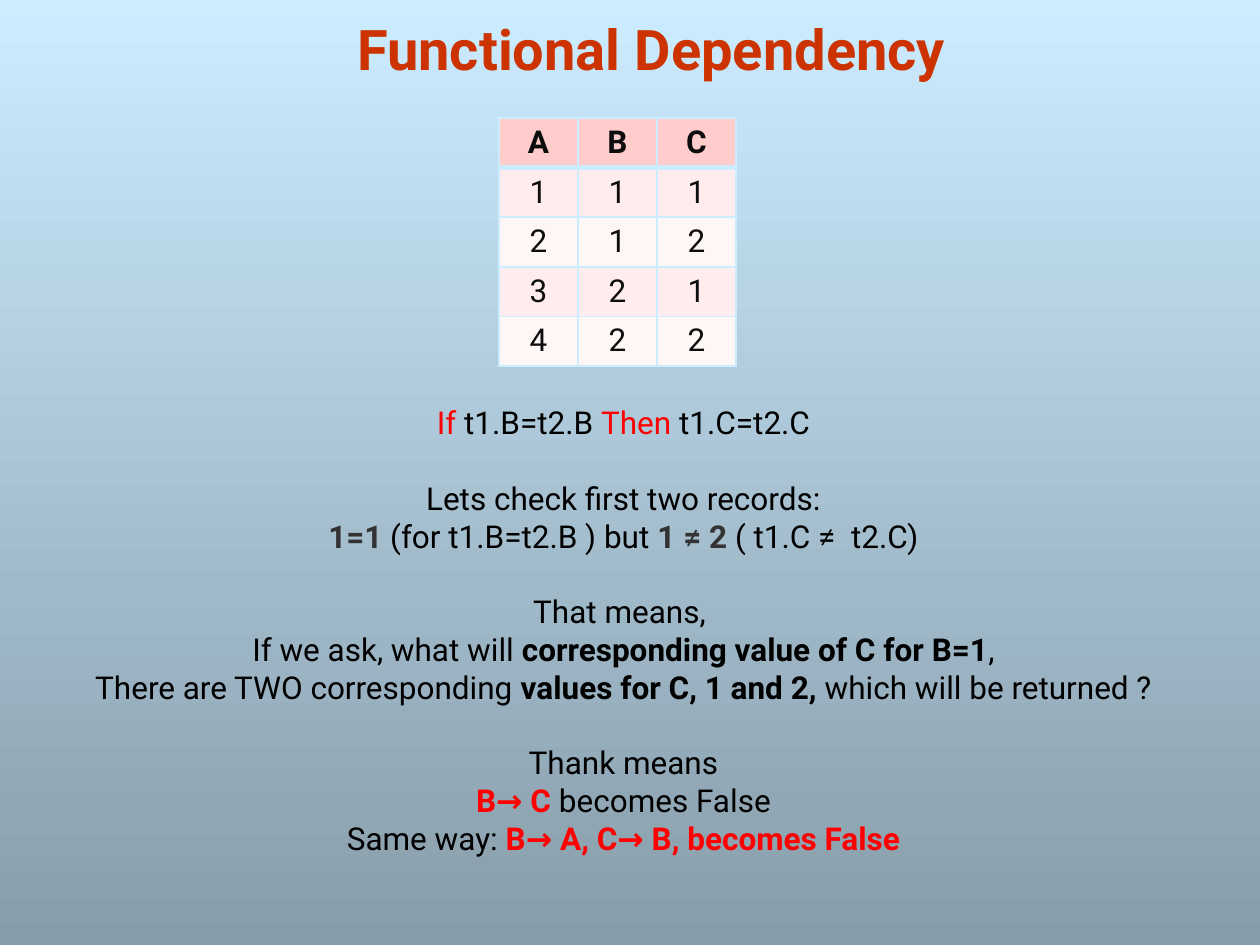
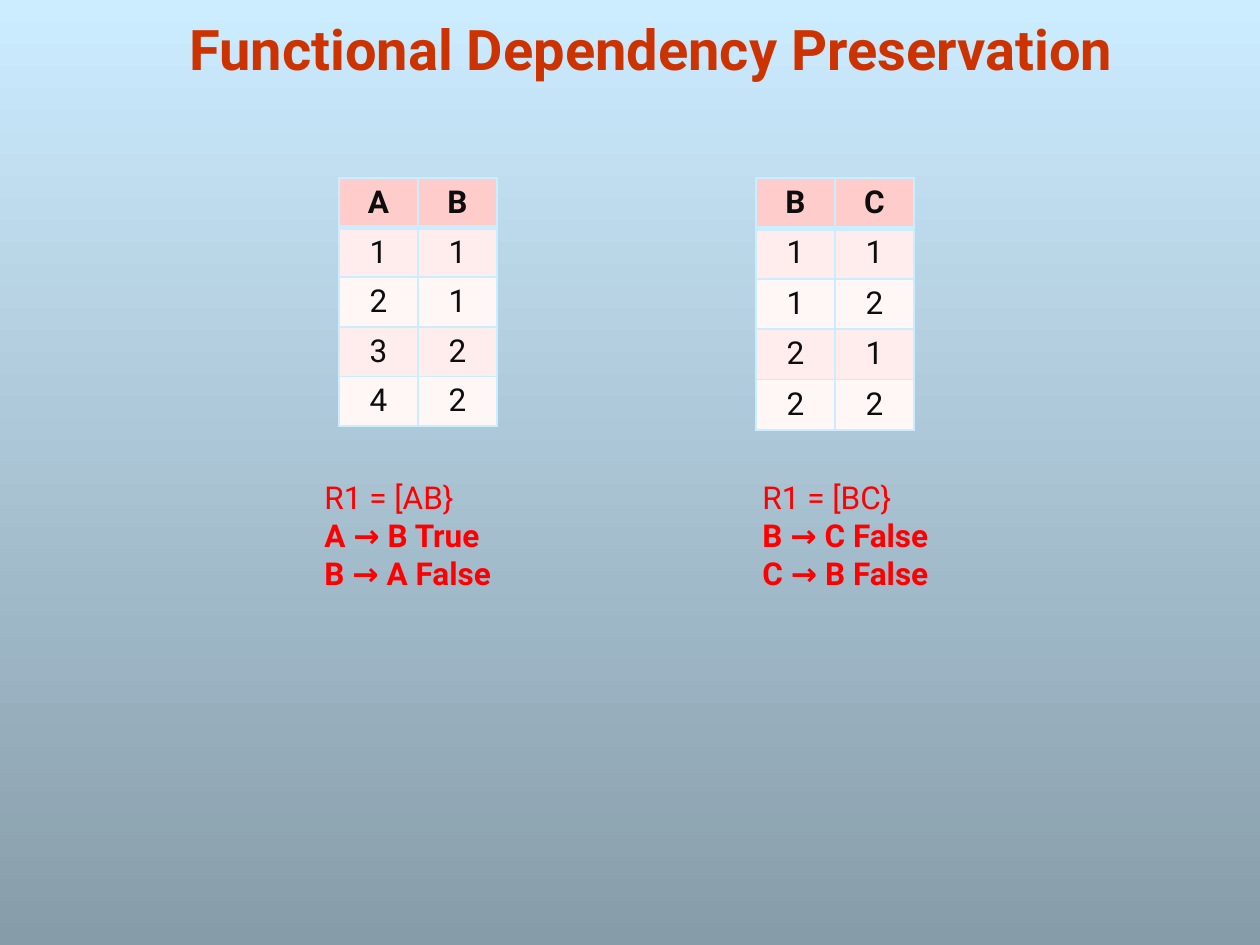
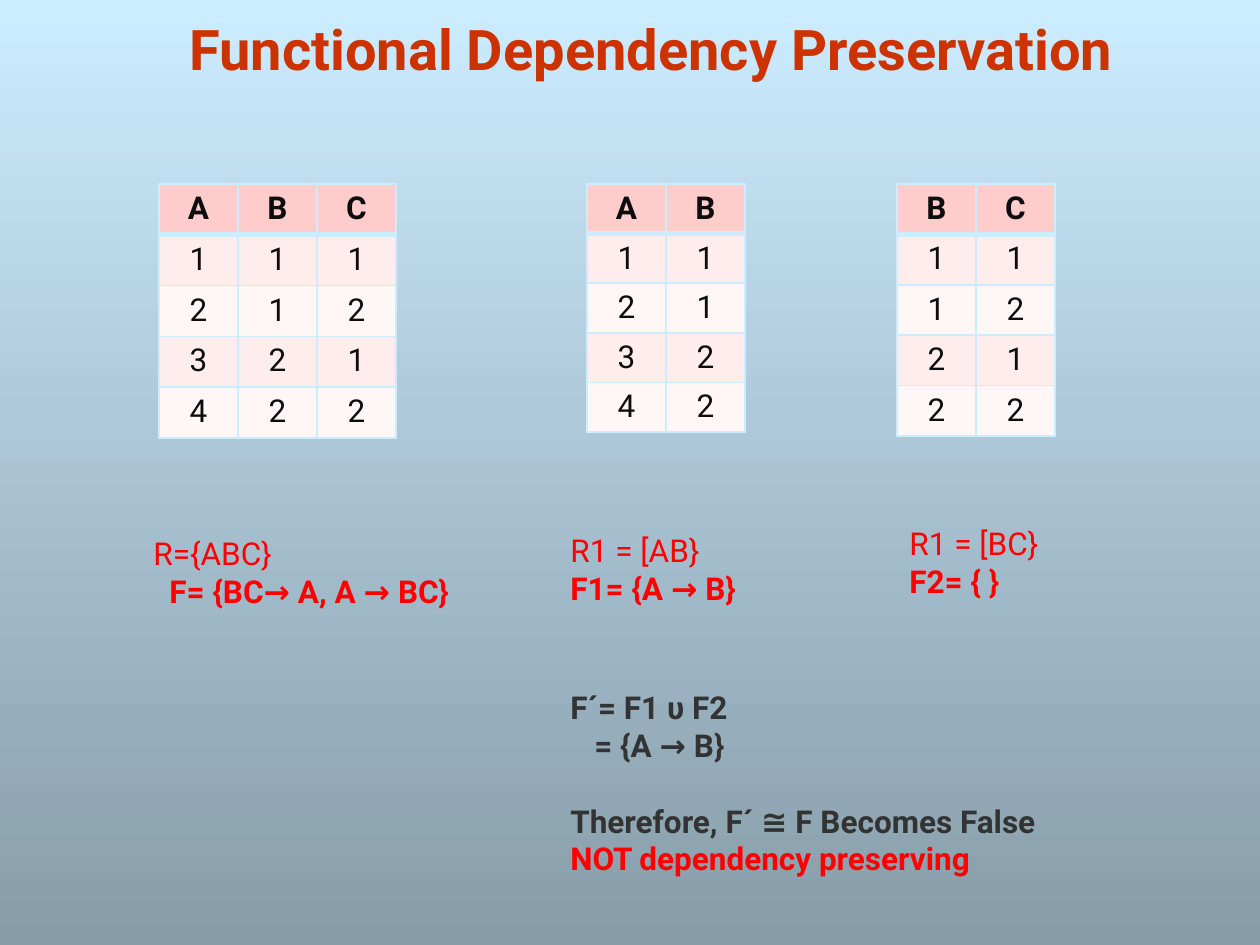
import pptx
import pptx.util
import pptx.dml.color
import pptx.enum.text
import pptx.oxml
import pptx.oxml.ns

SCALE = 914400 / 126
FONT = "Roboto"
GAP = 21.6
COL = 79
HEX = {
    "sky": "CCECFF", "slate": "879CA9", "rust": "CC3300", "ink": "0D0D0D",
    "black": "000000", "red": "FF0000", "gray": "333333",
    "head": "FFCCCC", "odd": "FFECEC", "even": "FFF6F6",
}
STYLES = {
    "plain": ("black", False), "bold": ("black", True),
    "red": ("red", False), "alert": ("red", True), "dark": ("gray", True),
    "title": ("rust", True), "head": ("ink", True), "cell": ("ink", False),
}
ALIGN = pptx.enum.text.PP_ALIGN
TITLE = (116, 0, 1071, 88)

ABC = ["ABC", "111", "212", "321", "422"]
AB = ["AB", "11", "21", "32", "42"]
BC = ["BC", "11", "12", "21", "22"]

SLIDES = [
    {
        "title": "Functional Dependency",
        "tables": [(ABC, 499, 118, 248)],
        "notes": [((44, 397, 1159, 547), ALIGN.CENTER, [
            [[("If", "red"), (" t1.B=t2.B ", "plain"), ("Then", "red"),
              (" t1.C=t2.C", "plain")]],
            [[("Lets check first two records:", "plain")],
             [("1=1", "dark"), (" (for t1.B=t2.B ) but ", "plain"),
              ("1 ≠ 2 ", "dark"), ("( t1.C ≠  t2.C)", "plain")]],
            [[("That means, ", "plain")],
             [("If we ask, what will ", "plain"),
              ("corresponding value of C for B=1", "bold"), (",", "plain")],
             [("There are TWO corresponding ", "plain"),
              ("values for C, 1 and 2, ", "bold"),
              ("which will be returned ?", "plain")]],
            [[("Thank means", "plain")],
             [("B→ C ", "alert"), ("becomes False", "plain")],
             [("Same way: ", "plain"), ("B→ A, C→ B, becomes False", "alert")]],
        ])],
    },
    {
        "title": "Functional Dependency Preservation",
        "tables": [(AB, 339, 178, 248), (BC, 756, 178, 252)],
        "notes": [
            ((312, 472, 272, 204), ALIGN.LEFT, [
                [[("R1 = [AB}", "red")], [("A → B True", "alert")],
                 [("B → A False", "alert")]]]),
            ((750, 472, 272, 165), ALIGN.LEFT, [
                [[("R1 = [BC}", "red")], [("B → C False", "alert")],
                 [("C → B False", "alert")]]]),
        ],
    },
    {
        "title": "Functional Dependency Preservation",
        "tables": [(ABC, 159, 184, 254), (AB, 587, 184, 248), (BC, 897, 184, 252)],
        "notes": [
            ((141, 528, 336, 127), ALIGN.LEFT, [
                [[("R={ABC}", "red")], [16, ("F= {BC→ A, A → BC}", "alert")]]]),
            ((558, 525, 272, 89), ALIGN.LEFT, [
                [[("R1 = [AB}", "red")], [("F1= {A → B}", "alert")]]]),
            ((897, 518, 207, 89), ALIGN.LEFT, [
                [[("R1 = [BC}", "red")], [("F2= { }", "alert")]]]),
            ((558, 682, 543, 204), ALIGN.LEFT, [
                [[("F´= F1 υ F2", "dark")], [24, ("= {A → B}", "dark")]],
                [[("Therefore, F´ ≅ F Becomes False", "dark")],
                 [("NOT dependency preserving", "alert")]]]),
        ],
    },
]


def px(num):
    return pptx.util.Emu(round(num * SCALE))


def rgb(name):
    return pptx.dml.color.RGBColor.from_string(HEX[name])


def write(frame, blocks, size=18, align=ALIGN.LEFT):
    lines = [(line, at > 0 and pos == 0)
             for at, block in enumerate(blocks) for pos, line in enumerate(block)]
    for num, (line, gap) in enumerate(lines):
        para = frame.paragraphs[0] if num == 0 else frame.add_paragraph()
        para.alignment = align
        para.space_before = pptx.util.Pt(GAP if gap else 0)
        if isinstance(line[0], int):
            para._p.get_or_add_pPr().set("marL", str(px(line[0])))
            line = line[1:]
        for words, style in line:
            run = para.add_run()
            run.text = words
            color, run.font.bold = STYLES[style]
            run.font.name = FONT
            run.font.size = pptx.util.Pt(size)
            run.font.color.rgb = rgb(color)


def edge(cell, side, width):
    props = cell._tc.get_or_add_tcPr()
    props.append(pptx.oxml.parse_xml(
        f'<a:ln{side} {pptx.oxml.ns.nsdecls("a")} w="{pptx.util.Pt(width)}">'
        f'<a:solidFill><a:srgbClr val="{HEX["sky"]}"/></a:solidFill></a:ln{side}>'))


def grid(slide, rows, left, top, high):
    wide = COL * len(rows[0])
    table = slide.shapes.add_table(
        len(rows), len(rows[0]), px(left), px(top), px(wide), px(high)).table
    table.first_row = table.horz_banding = False
    for col in table.columns:
        col.width = px(COL)
    for num, row in enumerate(rows):
        table.rows[num].height = px(high / len(rows))
        fill = "head" if num == 0 else "odd" if num % 2 else "even"
        for pos, value in enumerate(row):
            cell = table.cell(num, pos)
            for side in "LRTB":
                thick = (num, side) in ((0, "B"), (1, "T"))
                edge(cell, side, 3 if thick else 1)
            cell.fill.solid()
            cell.fill.fore_color.rgb = rgb(fill)
            style = "cell" if num else "head"
            write(cell.text_frame, [[[(value, style)]]], align=ALIGN.CENTER)


def place(shape, box):
    shape.left, shape.top, shape.width, shape.height = map(px, box)


def main():
    deck = pptx.Presentation()
    deck.slide_width, deck.slide_height = px(1260), px(945)
    back = deck.slide_master.background.fill
    back.gradient()
    back.gradient_angle = 270
    for stop, name in zip(back.gradient_stops, ("sky", "slate")):
        stop.color.rgb = rgb(name)
    for data in SLIDES:
        slide = deck.slides.add_slide(deck.slide_layouts[5])
        title = slide.shapes.title
        place(title, TITLE)
        title.text_frame.vertical_anchor = pptx.enum.text.MSO_ANCHOR.BOTTOM
        write(title.text_frame, [[[(data["title"], "title")]]],
              size=32, align=ALIGN.CENTER)
        for table in data["tables"]:
            grid(slide, *table)
        for box, align, blocks in data["notes"]:
            frame = slide.shapes.add_textbox(*map(px, box)).text_frame
            frame.word_wrap = True
            write(frame, blocks, align=align)
    deck.save("out.pptx")


if __name__ == "__main__":
    main()
